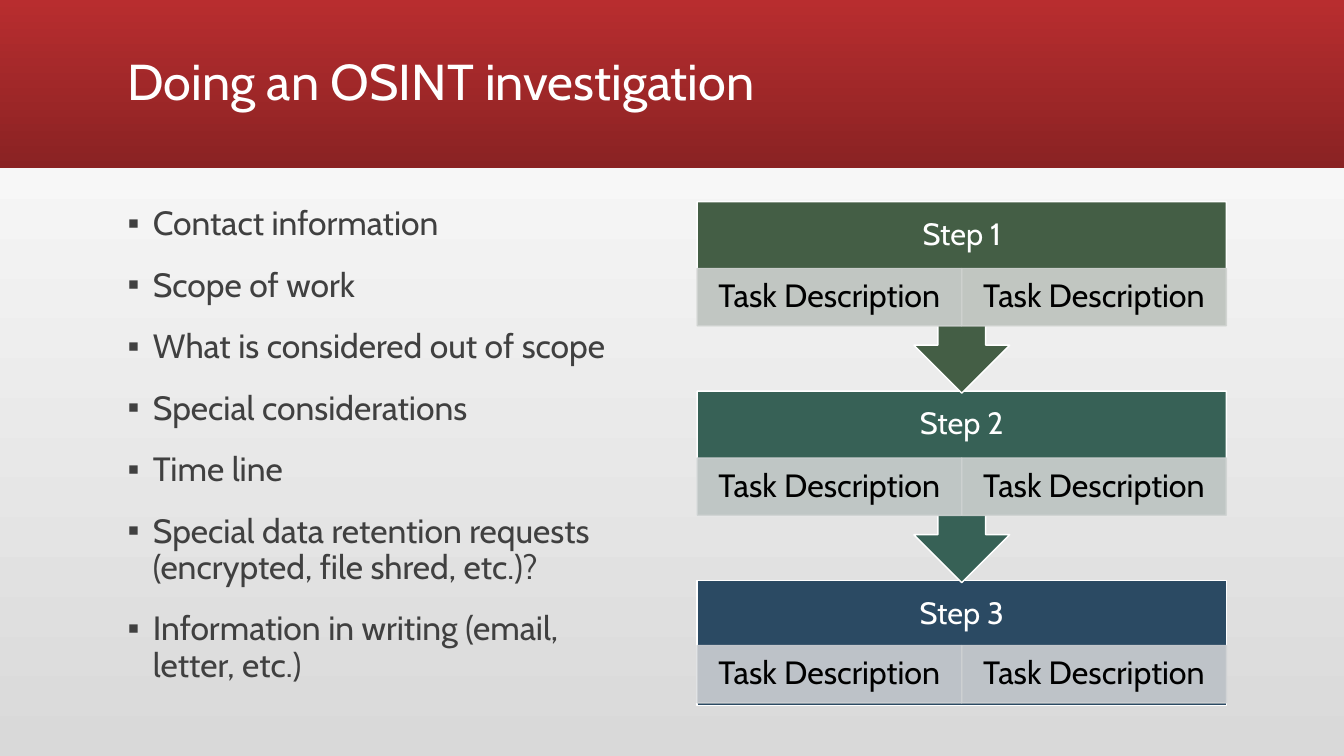
from lxml import etree
from pptx import Presentation
from pptx.dml.color import RGBColor
from pptx.enum import shapes, text
from pptx.oxml import ns
from pptx.util import Pt

HUES = {
    "white": "FFFFFF", "black": "000000", "ink": "404040", "grey": "D9D9D9",
    "red": "B82D2F", "wine": "8A2223",
}
FONT = "Cabin"
ITEMS = [
    "Contact information",
    "Scope of work",
    "What is considered out of scope",
    "Special considerations",
    "Time line",
    "Special data retention requests (encrypted, file shred, etc.)?",
    "Information in writing (email, letter, etc.)",
]
# Name, fill and the two task tints of each step
STEPS = [
    ("Step 1", "445E45", ("CFD2D0", "CFD2CF")),
    ("Step 2", "376156", ("CED2D2", "CED2D1")),
    ("Step 3", "2B4A63", ("CDD0D3", "CED1D3")),
]
TASK_H = 41


def rgb(code):
    return RGBColor.from_string(code)


def place(shape, box):
    shape.left, shape.top, shape.width, shape.height = map(Pt, box)


def shade(fill, start, end, angle):
    fill.gradient()
    fill.gradient_angle = angle
    for stop, name in zip(fill.gradient_stops, (start, end)):
        stop.color.rgb = rgb(HUES[name])


def style(para, size, hue, align):
    para.alignment = align
    para.line_spacing = 0.9
    for run in para.runs:
        run.font.size = Pt(size)
        run.font.name = FONT
        run.font.color.rgb = rgb(HUES[hue])


def block(slide, kind, box, fill, line):
    shape = slide.shapes.add_shape(kind, *map(Pt, box))
    shape.shadow.inherit = False
    shape.fill.solid()
    shape.fill.fore_color.rgb = rgb(fill)
    shape.line.color.rgb = rgb(line)
    shape.line.width = Pt(1)
    return shape


def label(shape, words, size, hue, foot=0):
    frame = shape.text_frame
    frame.text = words
    frame.word_wrap = True
    frame.vertical_anchor = text.MSO_ANCHOR.MIDDLE
    frame.margin_left = frame.margin_right = Pt(12)
    frame.margin_top, frame.margin_bottom = 0, Pt(foot)
    style(frame.paragraphs[0], size, hue, text.PP_ALIGN.CENTER)


def header(slide, box):
    # Red band, sent behind the placeholders
    band = slide.shapes.add_shape(shapes.MSO_SHAPE.RECTANGLE, *map(Pt, box))
    band.shadow.inherit = False
    band.line.fill.background()
    shade(band.fill, "red", "wine", 270)
    slide.shapes._spTree.insert(2, band._element)

    # Title
    left, top, width, height = box
    title = slide.shapes.title
    place(title, (left + 84, top + 8, width - 168, height - 16))
    frame = title.text_frame
    frame.text = "Doing an OSINT investigation"
    frame.vertical_anchor = text.MSO_ANCHOR.MIDDLE
    frame.auto_size = text.MSO_AUTO_SIZE.NONE
    style(frame.paragraphs[0], 36, "white", text.PP_ALIGN.LEFT)


def bullets(slide, box):
    body = slide.placeholders[1]
    place(body, box)
    frame = body.text_frame
    frame.text = "\n".join(ITEMS)
    frame.auto_size = text.MSO_AUTO_SIZE.NONE
    for para in frame.paragraphs:
        style(para, 24, "ink", text.PP_ALIGN.LEFT)
        para.space_before, para.space_after = Pt(18), Pt(0)
        props = para._p.get_or_add_pPr()
        props.set("marL", str(Pt(18)))
        props.set("indent", str(Pt(-18)))
        etree.SubElement(props, ns.qn("a:buFont")).set("typeface", "Arial")
        etree.SubElement(props, ns.qn("a:buChar")).set("char", "▪")


def tasks(slide, box, tints):
    left, top, width, height = box
    half = width / 2
    for col, tint in enumerate(tints):
        cell = block(slide, shapes.MSO_SHAPE.RECTANGLE,
                     (left + col * half, top, half, height), tint, tint)
        label(cell, "Task Description", 23, "black")
        # Fill and line are slightly see-through
        for hue in cell._element.spPr.iter(ns.qn("a:srgbClr")):
            etree.SubElement(hue, ns.qn("a:alpha")).set("val", "90000")


def flow(slide, box):
    left, top, width, height = box
    tall, flat = 136.8, 89.3
    pitch = (height - flat) / (len(STEPS) - 1)
    last = len(STEPS) - 1
    # Last step first, so each arrow tip lies over the next step
    for row in reversed(range(len(STEPS))):
        name, fill, tints = STEPS[row]
        y = top + row * pitch
        if row == last:
            kind, high, head = shapes.MSO_SHAPE.RECTANGLE, flat, 46.4
        else:
            kind, high, head = shapes.MSO_SHAPE.DOWN_ARROW_CALLOUT, tall, 47.8
        step = block(slide, kind, (left, y, width, high), fill, HUES["white"])
        label(step, name, 22, "white", TASK_H)
        tasks(slide, (left, y + head, width, TASK_H), tints)


def main():
    deck = Presentation()
    deck.slide_width, deck.slide_height = Pt(960), Pt(540)
    slide = deck.slides.add_slide(deck.slide_layouts[1])
    shade(slide.background.fill, "grey", "white", 90)
    header(slide, (0, 0, 960, 120))
    bullets(slide, (84, 144, 378, 360))
    flow(slide, (498, 144, 378, 360))
    deck.save("out.pptx")


if __name__ == "__main__":
    main()
